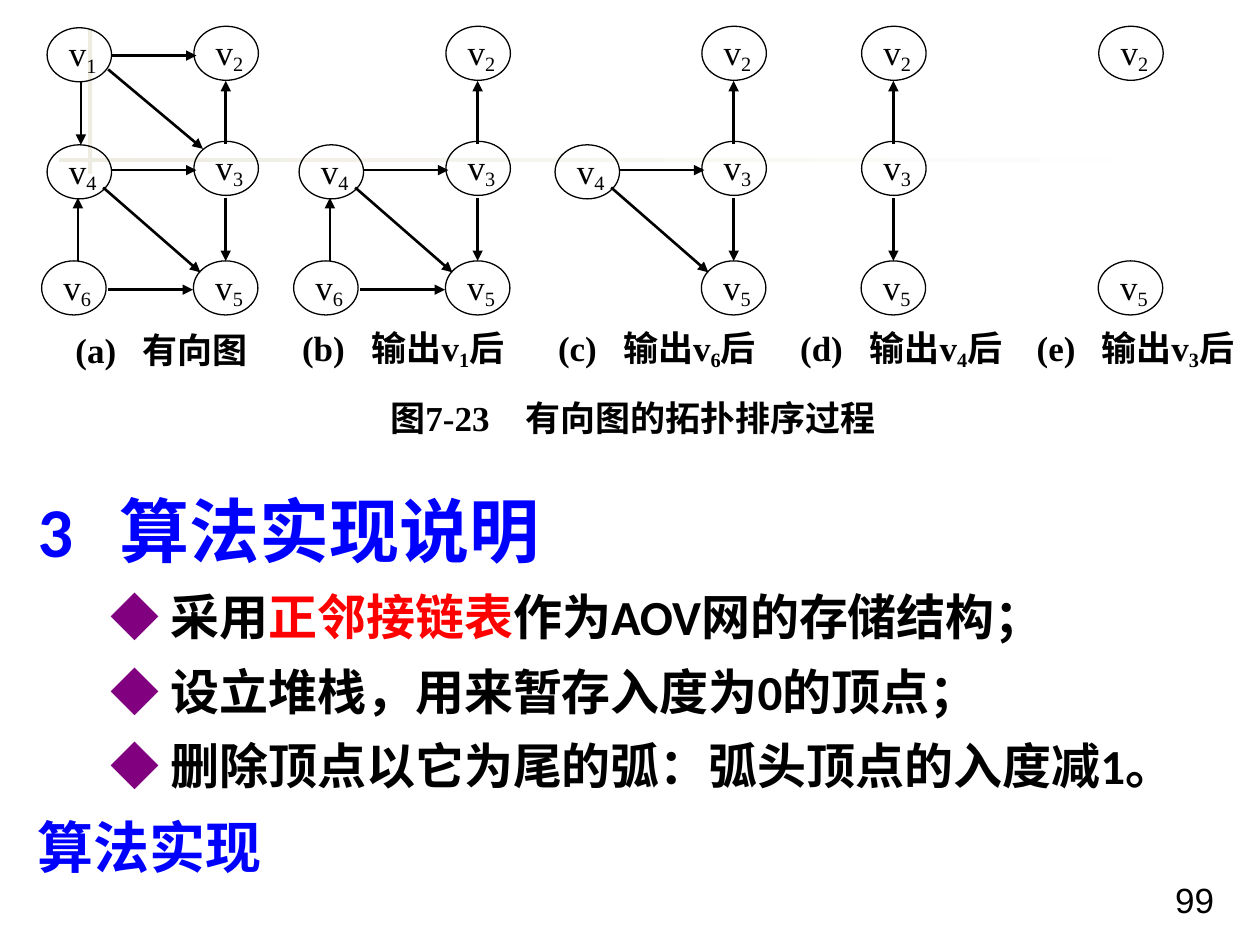
from lxml import etree
from pptx import Presentation
from pptx.dml.color import RGBColor
from pptx.enum.shapes import MSO_CONNECTOR, MSO_SHAPE
from pptx.enum.text import MSO_ANCHOR, PP_ALIGN
from pptx.oxml.ns import qn
from pptx.util import Cm, Pt

OVAL, RECT = MSO_SHAPE.OVAL, MSO_SHAPE.RECTANGLE
LINE = MSO_CONNECTOR.STRAIGHT
MID, TOP = MSO_ANCHOR.MIDDLE, MSO_ANCHOR.TOP
LEFT = PP_ALIGN.LEFT

BLACK = RGBColor(0x00, 0x00, 0x00)
WHITE = RGBColor(0xFF, 0xFF, 0xFF)
BEIGE = RGBColor(0xEE, 0xEC, 0xE1)
BLUE = RGBColor(0x00, 0x00, 0xFF)
RED = RGBColor(0xFF, 0x00, 0x00)
PURPLE = RGBColor(0x80, 0x00, 0x80)

SERIF, SANS, CJK = "Times New Roman", "Calibri", "Noto Sans CJK SC"

# Lengths in cm, relative to the graph's left edge and the slide's top
NODE_W, NODE_H = 1.3, 1.09
NODES = {
    1: (0.95, 0.56), 2: (3.91, 0.53), 3: (3.91, 2.85),
    4: (0.95, 2.92), 5: (3.9, 5.26), 6: (0.84, 5.26),
}
ARCS = {
    (1, 4): (1.63, 1.65, 1.63, 2.92),
    (3, 5): (4.55, 3.99, 4.55, 5.26),
    (6, 4): (1.57, 5.26, 1.57, 3.99),
    (3, 2): (4.55, 2.9, 4.55, 1.63),
    (6, 5): (2.18, 5.84, 3.89, 5.84),
    (1, 2): (2.26, 1.12, 3.96, 1.12),
    (1, 3): (2.18, 1.4, 4.09, 3),
    (4, 5): (2.08, 3.78, 4.04, 5.49),
    (4, 3): (2.26, 3.43, 3.96, 3.43),
}
# Graph left, caption box, caption tab, letter, vertex just output
STEPS = [
    (0, (1.27, 6.65, 4.2, 0.89), 1.35, "a", None),
    (5.08, (5.84, 6.6, 4.75, 0.89), 1.4, "b", 1),
    (10.24, (11, 6.6, 4.75, 0.89), 1.31, "c", 6),
    (13.46, (15.88, 6.6, 4.75, 0.89), 1.4, "d", 4),
    (18.24, (20.65, 6.6, 4.75, 0.89), 1.3, "e", 3),
]


def add_run(para, text, size, font, color=BLACK, bold=False, sub=False):
    run = para.add_run()
    run.text = text
    run.font.size, run.font.name, run.font.bold = Pt(size), font, bold
    run.font.color.rgb = color
    props = run.font._element
    asian = SANS if font == SERIF else font
    etree.SubElement(props, qn("a:ea")).set("typeface", asian)
    if sub:
        props.set("baseline", "-18000")


def set_tab(para, pos):
    tabs = etree.SubElement(para._p.get_or_add_pPr(), qn("a:tabLst"))
    etree.SubElement(tabs, qn("a:tab"), pos=str(Cm(pos)), algn="l")


def add_text(slide, box, anchor):
    frame = slide.shapes.add_textbox(*map(Cm, box)).text_frame
    frame.word_wrap, frame.vertical_anchor = True, anchor
    return frame


def add_bar(slide, box):
    bar = slide.shapes.add_shape(RECT, *map(Cm, box))
    bar.shadow.inherit = False
    bar.line.fill.background()
    return bar.fill


def add_rules(slide):
    fill = add_bar(slide, (1.78, 0.58, 0.08, 2.92))
    fill.solid()
    fill.fore_color.rgb = BEIGE
    fill = add_bar(slide, (1.19, 3.18, 22.86, 0.08))
    fill.gradient()
    fill.gradient_angle = 0
    for stop, color in zip(fill.gradient_stops, (BEIGE, WHITE)):
        stop.color.rgb = color


def add_node(slide, x, y, num):
    node = slide.shapes.add_shape(OVAL, Cm(x), Cm(y), Cm(NODE_W), Cm(NODE_H))
    node.shadow.inherit = False
    node.fill.background()
    node.line.color.rgb, node.line.width = BLACK, Pt(0.75)
    frame = node.text_frame
    frame.word_wrap, frame.vertical_anchor = False, MID
    para = frame.paragraphs[0]
    para.alignment, para.line_spacing = LEFT, 0.9
    add_run(para, "v", 20, SERIF)
    add_run(para, str(num), 20, SERIF, sub=True)


def add_arc(slide, *ends):
    arc = slide.shapes.add_connector(LINE, *map(Cm, ends))
    arc.line.color.rgb, arc.line.width = BLACK, Pt(1.5)
    etree.SubElement(arc.line._get_or_add_ln(), qn("a:tailEnd"), type="triangle")
    etree.SubElement(arc._element.spPr, qn("a:effectLst"))


def add_graph(slide, left, verts):
    """Draw the vertices that remain and the arcs between them."""
    for num in sorted(verts):
        x, y = NODES[num]
        add_node(slide, left + x, y, num)
    for pair, (x1, y1, x2, y2) in ARCS.items():
        if verts.issuperset(pair):
            add_arc(slide, left + x1, y1, left + x2, y2)


def add_label(slide, box, tab, parts):
    """Write a bold caption; every second part is a subscript."""
    frame = add_text(slide, box, MID)
    frame.margin_right = 0
    para = frame.paragraphs[0]
    para.line_spacing = 0.9
    set_tab(para, tab)
    for i, part in enumerate(parts):
        add_run(para, part, 20, SERIF, bold=True, sub=i % 2 == 1)


def add_figure(slide):
    verts = set(NODES)
    for left, box, tab, mark, out in STEPS:
        verts.discard(out)
        add_graph(slide, left, verts)
        parts = [f"({mark})\t输出v", str(out), "后"] if out else [f"({mark})\t有向图"]
        add_label(slide, box, tab, parts)
    add_label(slide, (7.62, 8.03, 10.8, 0.89), 2.72, ["图7-23\t有向图的拓扑排序过程"])


def add_body(slide, box):
    frame = add_text(slide, box, TOP)
    head = frame.paragraphs[0]
    head.line_spacing = 1.1
    set_tab(head, 1.65)
    add_run(head, "3\t算法实现说明", 40, SANS, BLUE, True)
    points = [
        [("采用", BLACK), ("正邻接链表", RED), ("作为AOV网的存储结构；", BLACK)],
        [("设立堆栈，用来暂存入度为0的顶点；", BLACK)],
        [("删除顶点以它为尾的弧：弧头顶点的入度减1。", BLACK)],
    ]
    for point in points:
        para = frame.add_paragraph()
        para.line_spacing, para.space_before = 1.1, Pt(5.6)
        props = para._p.get_or_add_pPr()
        props.set("marL", str(Cm(1.47)))
        props.set("indent", "0")
        add_run(para, "◆ ", 28, CJK, PURPLE, True)
        for text, color in point:
            add_run(para, text, 28, SANS, color, True)
    last = frame.add_paragraph()
    last.line_spacing, last.space_before = 1.1, Pt(6.4)
    add_run(last, "算法实现", 32, SANS, BLUE, True)


def add_number(slide, box):
    para = add_text(slide, box, TOP).paragraphs[0]
    para.line_spacing = 0.9
    add_run(para, "99", 20, "Arial")


def main():
    deck = Presentation()
    deck.slide_width, deck.slide_height = Cm(25.4), Cm(19.05)
    slide = deck.slides.add_slide(deck.slide_layouts[6])
    add_rules(slide)
    add_number(slide, (23.44, 17.68, 1.98, 1.02))
    add_body(slide, (0.51, 9.53, 24.41, 8.61))
    add_figure(slide)
    deck.save("out.pptx")


if __name__ == "__main__":
    main()
